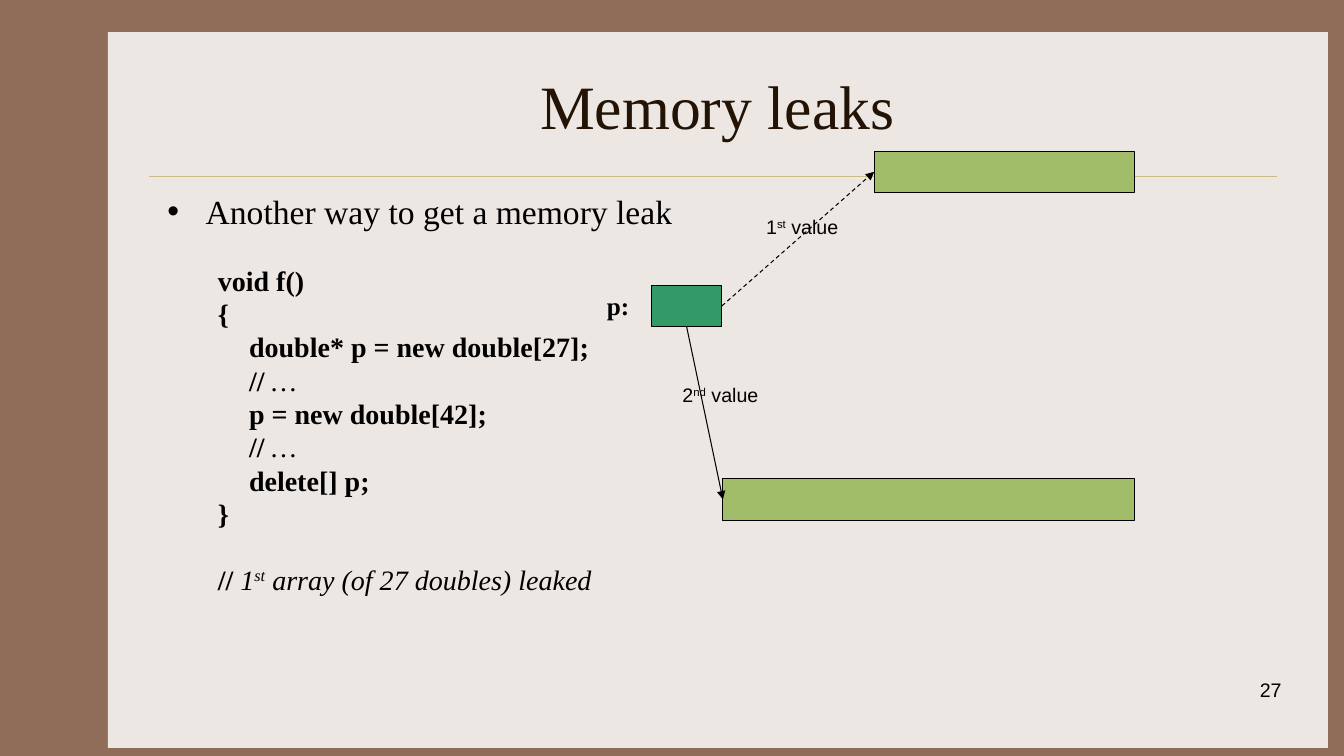
from lxml.etree import SubElement
from pptx import Presentation
from pptx.dml.color import RGBColor
from pptx.enum.dml import MSO_LINE
from pptx.enum.shapes import MSO_CONNECTOR, MSO_SHAPE
from pptx.enum.text import MSO_ANCHOR, MSO_AUTO_SIZE, PP_ALIGN
from pptx.oxml.ns import qn
from pptx.util import Inches, Pt

BROWN = RGBColor(0x90, 0x6D, 0x58)
CREAM = RGBColor(0xED, 0xE7, 0xE3)
SAND = RGBColor(0xCB, 0xBD, 0x83)
UMBER = RGBColor(0x22, 0x13, 0x04)
BLACK = RGBColor(0, 0, 0)
GREEN = RGBColor(0x33, 0x99, 0x66)
OLIVE = RGBColor(0xA1, 0xBD, 0x69)
SERIF, SANS = "Times New Roman", "Arial"

CODE = [
    [("void f()", "b")],
    [("{", "b")],
    [("\tdouble* p = new double[27];", "b")],
    [("\t// ", "b"), ("…", "i")],
    [("\tp = new double[42];", "b")],
    [("\t// ", "b"), ("…", "i")],
    [("\tdelete[] p;", "b")],
    [("}", "b")],
    [("// ", "b"), ("1", "i"), ("st", "i^"), (" array (of 27 doubles) leaked", "i")],
]
GAP_BEFORE = {0, len(CODE) - 1}


def write(para, pieces, size, face, color=BLACK):
    """Fill a paragraph with (text, style) pieces; b bold, i italic, ^ raised."""
    for text, style in pieces:
        span = para.add_run()
        span.text = text
        font = span.font
        font.name, font.size, font.color.rgb = face, Pt(size), color
        font.bold, font.italic = "b" in style, "i" in style
        if "^" in style:
            font._element.set("baseline", "30000")


def place(shape, box):
    """Move a shape to a box given in inches."""
    shape.left, shape.top, shape.width, shape.height = map(Inches, box)


def add_label(page, box, pieces, size, face, align=PP_ALIGN.LEFT):
    """Add a one-paragraph text box."""
    frame = page.shapes.add_textbox(*map(Inches, box)).text_frame
    frame.word_wrap = True
    frame.paragraphs[0].alignment = align
    write(frame.paragraphs[0], pieces, size, face)


def add_block(page, box, fill, line=None):
    """Add a flat rectangle, outlined when a line colour is given."""
    block = page.shapes.add_shape(MSO_SHAPE.RECTANGLE, *map(Inches, box))
    block.shadow.inherit = False
    block.fill.solid()
    block.fill.fore_color.rgb = fill
    if line is None:
        block.line.fill.background()
    else:
        block.line.color.rgb = line
        block.line.width = Pt(0.75)
    return block


def add_line(page, start, end, color, width):
    """Add a straight line without shadow."""
    line = page.shapes.add_connector(
        MSO_CONNECTOR.STRAIGHT, *map(Inches, (*start, *end)))
    line.line.color.rgb = color
    line.line.width = Pt(width)
    SubElement(line._element.spPr, qn("a:effectLst"))
    return line


def add_arrow(page, source, side, target, dashed=False):
    """Join a side of the source to the left side of the target."""
    arrow = add_line(page, (0, 0), (1, 1), BLACK, 0.75)
    arrow.begin_connect(source, side)
    arrow.end_connect(target, 1)
    if dashed:
        arrow.line.dash_style = MSO_LINE.DASH
    SubElement(arrow.line._get_or_add_ln(), qn("a:tailEnd"), type="triangle")


def add_backdrop(page, box):
    """Paint the frame, the panel and the rule below the title."""
    left, top, width, height = box
    page.background.fill.solid()
    page.background.fill.fore_color.rgb = BROWN
    panel = add_block(page, box, CREAM)
    rule = add_line(page, (left + 0.41, top + 1.43),
                    (left + width - 0.5, top + 1.43), SAND, 0.25)
    for index, shape in enumerate((panel, rule)):
        page.shapes._spTree.insert(2 + index, shape._element)


def fill_title(page, box):
    """Write the centred title."""
    title = page.shapes.title
    place(title, box)
    frame = title.text_frame
    frame.auto_size = MSO_AUTO_SIZE.NONE
    frame.vertical_anchor = MSO_ANCHOR.MIDDLE
    frame.paragraphs[0].alignment = PP_ALIGN.CENTER
    write(frame.paragraphs[0], [("Memory leaks", "")], 44, SERIF, UMBER)


def format_item(para, margin, hanging, before, bullet):
    """Set indents, spacing and bullet of a body paragraph."""
    para.line_spacing = 0.8
    para.space_before = Pt(before)
    properties = para._p.get_or_add_pPr()
    properties.set("marL", str(Inches(margin)))
    properties.set("indent", str(-Inches(hanging)))
    if bullet:
        SubElement(properties, qn("a:buChar"), char=bullet)
    else:
        SubElement(properties, qn("a:buNone"))


def fill_body(page, box):
    """Write the bullet and the code listing."""
    body = page.placeholders[1]
    place(body, box)
    frame = body.text_frame
    frame.auto_size = MSO_AUTO_SIZE.NONE
    heading = frame.paragraphs[0]
    format_item(heading, 0.38, 0.38, 5.5, "•")
    write(heading, [("Another way to get a memory leak", "")], 24, SERIF)
    for index, pieces in enumerate(CODE):
        para = frame.add_paragraph()
        para.level = 1
        format_item(para, 0.81, 0.31, 27.7 if index in GAP_BEFORE else 4.6, None)
        write(para, pieces, 20, SERIF)


def add_diagram(page, box):
    """Draw the pointer and the two arrays it is aimed at."""
    left, top, width, height = box
    bar = 0.41
    right = left + width
    add_label(page, (left - 0.54, top + 1.33, 0.71, 0.4), [("p:", "b")], 18, SERIF)
    pointer = add_block(page, (left, top + 1.33, 0.7, bar), GREEN, BLACK)
    second = add_block(page, (right - 4.08, top + height - bar, 4.08, bar), OLIVE, BLACK)
    first = add_block(page, (right - 2.58, top, 2.58, bar), OLIVE, BLACK)
    add_arrow(page, pointer, 3, first, dashed=True)
    add_arrow(page, pointer, 2, second)
    for number, suffix, x, y, span in (("2", "nd", 0.21, 2.25, 1.83),
                                       ("1", "st", 1.04, 0.58, 1.58)):
        add_label(page, (left + x, top + y, span, 0.33),
                  [(number, ""), (suffix, "^"), (" value", "")], 14, SANS)


def main():
    """Build and save the slide."""
    deck = Presentation()
    deck.slide_width, deck.slide_height = Inches(13.33), Inches(7.5)
    page = deck.slides.add_slide(deck.slide_layouts[1])
    add_backdrop(page, (1.07, 0.32, 12.1, 7.1))
    fill_title(page, (1.56, 0.42, 11.11, 1.25))
    fill_body(page, (1.56, 1.92, 11.11, 4.5))
    add_label(page, (10.03, 6.68, 2.78, 0.5), [("27", "")], 14, SANS, PP_ALIGN.RIGHT)
    add_diagram(page, (6.46, 1.5, 4.79, 3.66))
    deck.save("out.pptx")


if __name__ == "__main__":
    main()
